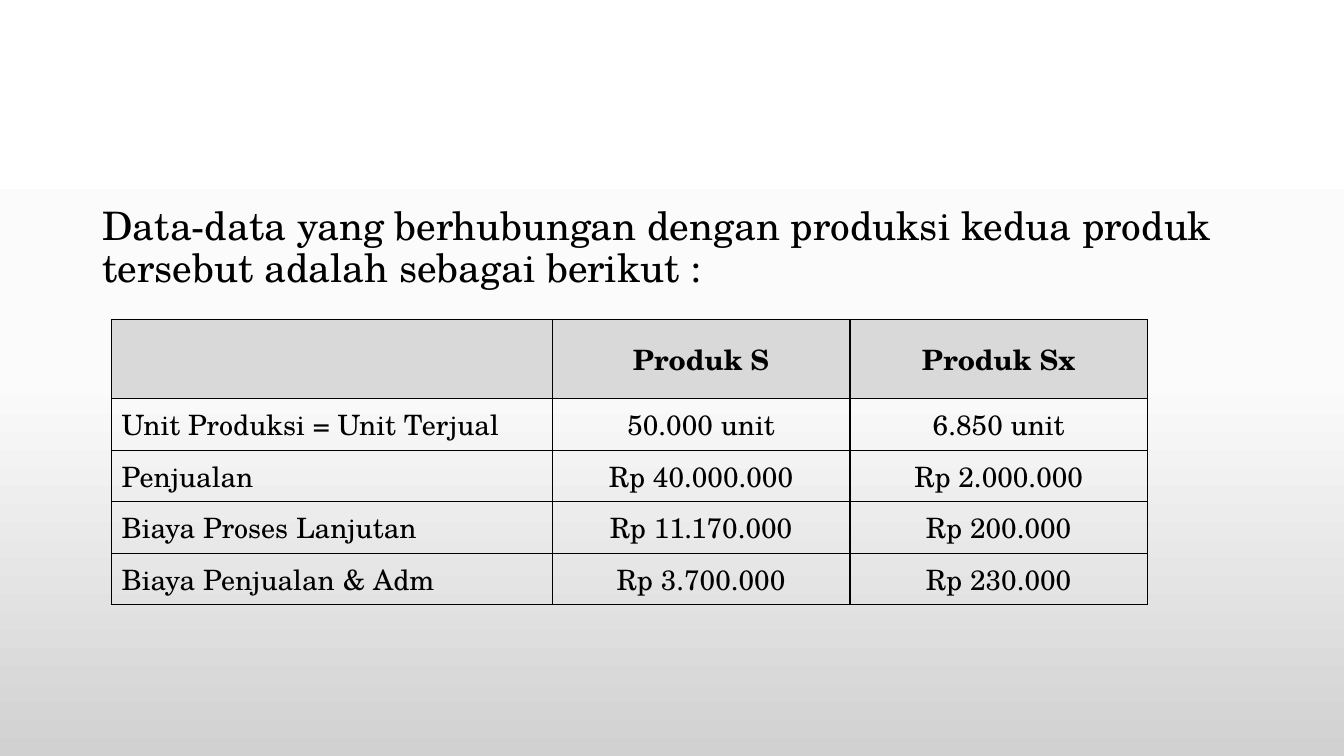
"""Build a slide with a lead sentence and a table comparing two products."""
from lxml import etree
from pptx import Presentation
from pptx.dml.color import RGBColor
from pptx.enum.text import MSO_ANCHOR, PP_ALIGN
from pptx.oxml.ns import qn
from pptx.util import Pt

LEFT, CENTER = PP_ALIGN.LEFT, PP_ALIGN.CENTER
MIDDLE = MSO_ANCHOR.MIDDLE

LEAD = ("Data-data yang berhubungan dengan produksi kedua produk "
        "tersebut adalah sebagai berikut :")
ROWS = [
    ("", "Produk S", "Produk Sx"),
    ("Unit Produksi = Unit Terjual", "50.000 unit", "6.850 unit"),
    ("Penjualan", "Rp 40.000.000", "Rp 2.000.000"),
    ("Biaya Proses Lanjutan", "Rp 11.170.000", "Rp 200.000"),
    ("Biaya Penjualan & Adm", "Rp 3.700.000", "Rp 230.000"),
]
FONT = "TeX Gyre Schola"
COLORS = {"ink": "000000", "head": "D9D9D9",
          "top": "FFFFFF", "mid": "FBFBFB", "base": "D1D1D1"}
STOPS = [(0, "top"), (50, "mid"), (100, "base")]
WIDTHS = [314.8, 212.6, 212.6]
HEIGHTS = [56.5] + [36.8] * 4


def style(para, size, bold=False):
    font = para.font
    font.name, font.size, font.bold = FONT, Pt(size), bold
    font.color.rgb = RGBColor.from_string(COLORS["ink"])


def add_color(parent, name):
    etree.SubElement(parent, qn("a:srgbClr"), val=COLORS[name])


def paint_back(slide):
    fill = slide.background.fill
    fill.gradient()
    fill.gradient_angle = 270
    stops = slide.element.find(".//" + qn("a:gsLst"))
    for old in list(stops):
        stops.remove(old)
    for pos, name in STOPS:
        add_color(etree.SubElement(stops, qn("a:gs"), pos=str(pos * 1000)), name)


def add_lead(slide):
    body = slide.placeholders[1]
    body.left, body.top, body.width, body.height = Pt(66), Pt(144), Pt(828), Pt(343)
    para = body.text_frame.paragraphs[0]
    para.text = LEAD
    props = para._p.get_or_add_pPr()
    props.set("marL", "0")
    props.set("indent", "0")
    etree.SubElement(props, qn("a:buNone"))
    para.line_spacing = 0.9
    para.space_before = Pt(0)
    style(para, 28)


def add_edges(cell):
    props = cell._tc.get_or_add_tcPr()
    for side in ("lnL", "lnR", "lnT", "lnB"):
        line = etree.SubElement(props, qn("a:" + side), w=str(Pt(1)))
        add_color(etree.SubElement(line, qn("a:solidFill")), "ink")


def fill_cell(cell, text, row, col):
    add_edges(cell)
    if row == 0:
        cell.fill.solid()
        cell.fill.fore_color.rgb = RGBColor.from_string(COLORS["head"])
    else:
        cell.fill.background()
    cell.vertical_anchor = MIDDLE
    para = cell.text_frame.paragraphs[0]
    para.text = text
    para.alignment = CENTER if col else LEFT
    style(para, 20, row == 0)


def add_grid(slide):
    frame = slide.shapes.add_table(len(ROWS), len(WIDTHS), Pt(79.7), Pt(228.3),
                                   Pt(sum(WIDTHS)), Pt(sum(HEIGHTS)))
    table = frame.table
    table.first_row = table.horz_banding = False
    for col, width in zip(table.columns, WIDTHS):
        col.width = Pt(width)
    for row, height in zip(table.rows, HEIGHTS):
        row.height = Pt(height)
    for r, texts in enumerate(ROWS):
        for c, text in enumerate(texts):
            fill_cell(table.cell(r, c), text, r, c)


def main():
    deck = Presentation()
    deck.slide_width, deck.slide_height = Pt(960), Pt(540)
    slide = deck.slides.add_slide(deck.slide_layouts[1])
    title = slide.shapes.title.element
    title.getparent().remove(title)
    paint_back(slide)
    add_lead(slide)
    add_grid(slide)
    deck.save("out.pptx")


if __name__ == "__main__":
    main()
